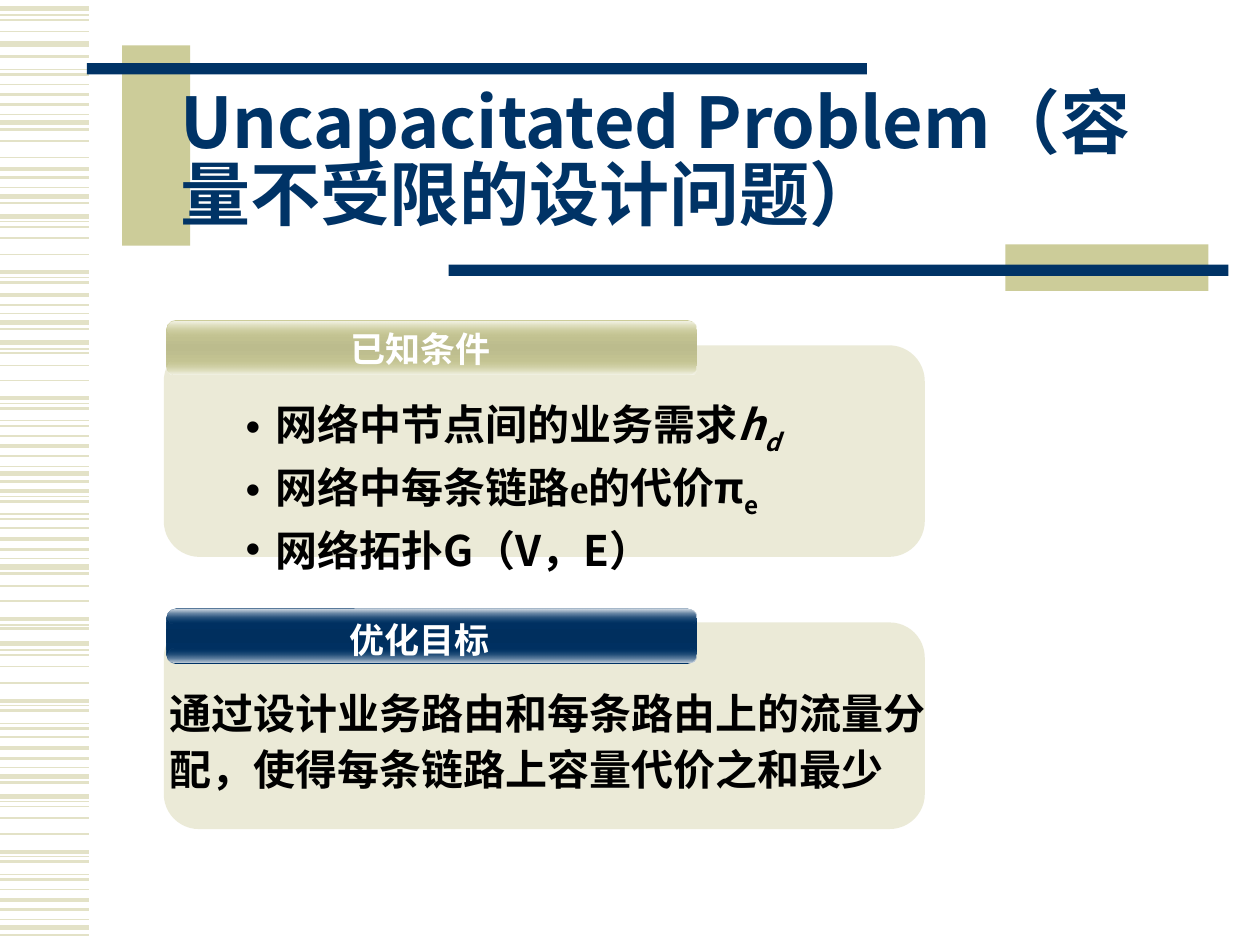
from lxml import etree
from pptx import Presentation
from pptx import util as u
from pptx.dml.color import RGBColor
from pptx.enum import shapes, text
from pptx.oxml import ns

COLORS = {
    "navy": "003366", "deep_navy": "002F5E", "navy_low": "CED8E2", "navy_high": "D7DFE7",
    "olive": "CCCC99", "deep_olive": "BCBC8D", "olive_low": "F5F5EB", "olive_high": "F4F4E8",
    "pale": "E3E2C7", "black": "000000", "white": "FFFFFF",
}
SANS = "Noto Sans CJK SC"
SERIF = "Times New Roman"

STRIPES = {
    0.75: [0.12, 0.55, 0.91, 1.49, 1.76, 2.2, 2.49, 2.77, 3.2, 3.34, 3.7, 3.94, 4.08,
           4.43, 4.96, 5.16, 5.6, 5.74, 6.09, 6.36, 6.8, 6.94, 7.3],
    1: [0.16, 0.25, 0.67, 1.12, 1.25, 1.8, 1.89, 2.02, 2.8, 2.9, 3.02, 3.46, 4.19,
        4.65, 4.77, 5.2, 5.29, 5.42, 5.85, 6.4, 6.49, 6.62, 7.06],
    1.5: [0.45, 0.59, 0.83, 1.03, 1.41, 1.61, 2.24, 2.42, 2.61, 3.24, 3.38, 3.62, 3.82,
          3.98, 4.12, 4.36, 4.55, 4.99, 5.64, 5.78, 6.02, 6.21, 6.84, 6.98, 7.22, 7.42],
    2.25: [0.75, 1.34, 2.16, 2.34, 3.16, 3.54, 3.9, 4.28, 4.91, 5.56, 5.94, 6.76, 7.14],
    3: [0.07, 0.35, 0.97, 1.56, 1.72, 2.56, 2.72, 3.76, 4.5, 5.11, 6.16, 6.32, 7.36],
}
CONDITIONS = [
    [("网络中节点间的业务需求", SANS, False, False), ("h", SANS, True, False),
     ("d", SANS, True, True)],
    [("网络中每条链路e的代价", SERIF, False, False), ("π", SANS, False, False),
     ("e", SANS, False, True)],
    [("网络拓扑G（V，E）", SANS, False, False)],
]
GOAL = [[("通过设计业务路由和每条路由上的流量分配，使得每条链路上容量代价之和最少",
          SANS, False, False)]]


def rgb(color):
    return RGBColor.from_string(COLORS[color])


def inches(box):
    return [u.Inches(length) for length in box]


def add_color(parent, color, alpha=100):
    node = etree.SubElement(parent, ns.qn("a:srgbClr"), val=COLORS[color])
    if alpha < 100:
        etree.SubElement(node, ns.qn("a:alpha"), val=str(alpha * 1000))


def add_block(page, box, color, kind=shapes.MSO_SHAPE.RECTANGLE, corner=None):
    block = page.shapes.add_shape(kind, *inches(box))
    block.shadow.inherit = False
    block.line.fill.background()
    block.fill.solid()
    block.fill.fore_color.rgb = rgb(color)
    if corner is not None:
        block.adjustments[0] = corner
    return block


def add_rounded(page, box, color, corner):
    return add_block(page, box, color, shapes.MSO_SHAPE.ROUNDED_RECTANGLE, corner)


def set_gradient(block, stops):
    solid = block.element.spPr.find(ns.qn("a:solidFill"))
    gradient = etree.Element(ns.qn("a:gradFill"), rotWithShape="1")
    stop_list = etree.SubElement(gradient, ns.qn("a:gsLst"))
    for position, color, alpha in stops:
        stop = etree.SubElement(stop_list, ns.qn("a:gs"), pos=str(position * 1000))
        add_color(stop, color, alpha)
    etree.SubElement(gradient, ns.qn("a:lin"), ang="5400000", scaled="1")
    solid.getparent().replace(solid, gradient)


def format_span(span, font, size, color):
    span.font.name = font
    span.font.size = u.Pt(size)
    span.font.bold = True
    span.font.color.rgb = rgb(color)
    latin = span.font._element.find(ns.qn("a:latin"))
    east_asian = etree.Element(ns.qn("a:ea"), typeface=SANS)
    latin.addnext(east_asian)


def add_bullet(para):
    props = para._p.get_or_add_pPr()
    props.set("marL", str(u.Inches(0.24)))
    props.set("indent", str(-u.Inches(0.24)))
    add_color(etree.SubElement(props, ns.qn("a:buClr")), "black")
    etree.SubElement(props, ns.qn("a:buFont"), typeface="Arial")
    etree.SubElement(props, ns.qn("a:buChar"), char="•")


def add_stripes(page, box):
    left, top, width, _ = box
    for weight, offsets in STRIPES.items():
        for offset in offsets:
            ends = inches([left, top + offset, left + width, top + offset])
            stripe = page.shapes.add_connector(shapes.MSO_CONNECTOR.STRAIGHT, *ends)
            stripe.line.color.rgb = rgb("pale")
            stripe.line.width = u.Pt(weight)
            etree.SubElement(stripe.element.spPr, ns.qn("a:effectLst"))


def add_title(page, box):
    left, top, width, height = box
    add_block(page, (left - 0.36, top - 0.31, 0.54, 1.59), "olive")
    add_block(page, (left - 0.64, top - 0.17, 6.19, 0.09), "navy")
    add_block(page, (left + 6.65, top + 1.27, 1.61, 0.37), "olive")
    add_block(page, (left + 2.23, top + 1.43, 6.19, 0.09), "navy")
    title = page.shapes.title
    title.left, title.top, title.width, title.height = inches(box)
    frame = title.text_frame
    frame.text = "Uncapacitated Problem（容量不受限的设计问题）"
    frame.word_wrap = True
    frame.auto_size = text.MSO_AUTO_SIZE.NONE
    frame.vertical_anchor = text.MSO_ANCHOR.MIDDLE
    para = frame.paragraphs[0]
    para.alignment = text.PP_ALIGN.LEFT
    para.line_spacing = 0.85
    format_span(para.runs[0], SANS, 40, "navy")
    title.element.getparent().append(title.element)


def add_panel(page, box):
    panel = add_rounded(page, box, "pale", 0.17)
    color = panel.element.spPr.find(ns.qn("a:solidFill"))[0]
    etree.SubElement(color, ns.qn("a:alpha"), val="70000")


def add_header(page, box, tone, label, label_box):
    left, top, width, height = box
    bar = add_rounded(page, box, tone, 0.175)
    set_gradient(bar, [(0, tone, 100), (50, "deep_" + tone, 100), (100, tone, 100)])
    low = add_rounded(page, (left + 0.01, top + height - 0.12, width - 0.01, 0.11), tone, 0.5)
    set_gradient(low, [(0, tone, 0), (100, tone + "_low", 100)])
    high = add_rounded(page, (left + 0.01, top + 0.01, width - 0.01, 0.11), tone, 0.5)
    set_gradient(high, [(0, tone + "_high", 100), (100, tone, 0)])
    frame = page.shapes.add_textbox(*inches(label_box)).text_frame
    frame.word_wrap = True
    frame.text = label
    para = frame.paragraphs[0]
    para.alignment = text.PP_ALIGN.CENTER
    format_span(para.runs[0], "Arial", 20, "white")


def add_body(page, box, lines, bulleted=False):
    frame = page.shapes.add_textbox(*inches(box)).text_frame
    frame.word_wrap = True
    for index, spans in enumerate(lines):
        para = frame.add_paragraph() if index else frame.paragraphs[0]
        para.line_spacing = 1.1
        if bulleted:
            add_bullet(para)
        for words, font, italic, subscript in spans:
            span = para.add_run()
            span.text = words
            format_span(span, font, 24, "black")
            span.font.italic = italic
            if subscript:
                span.font._element.set("baseline", "-25000")


def main():
    deck = Presentation()
    deck.slide_width, deck.slide_height = u.Inches(10), u.Inches(7.5)
    page = deck.slides.add_slide(deck.slide_layouts[5])
    add_stripes(page, (0, 0, 0.71, 7.5))
    add_title(page, (1.33, 0.67, 8.07, 1.25))
    add_panel(page, (1.3, 4.94, 6.04, 1.64))
    add_panel(page, (1.3, 2.74, 6.04, 1.68))
    add_header(page, (1.32, 4.83, 4.21, 0.44), "navy", "优化目标", (1.58, 4.86, 3.5, 0.44))
    add_header(page, (1.32, 2.54, 4.21, 0.44), "olive", "已知条件", (1.67, 2.55, 3.33, 0.44))
    add_body(page, (1.85, 3.07, 6.32, 1.54), CONDITIONS, bulleted=True)
    add_body(page, (1.25, 5.37, 6.32, 0.98), GOAL)
    deck.save("out.pptx")


if __name__ == "__main__":
    main()
